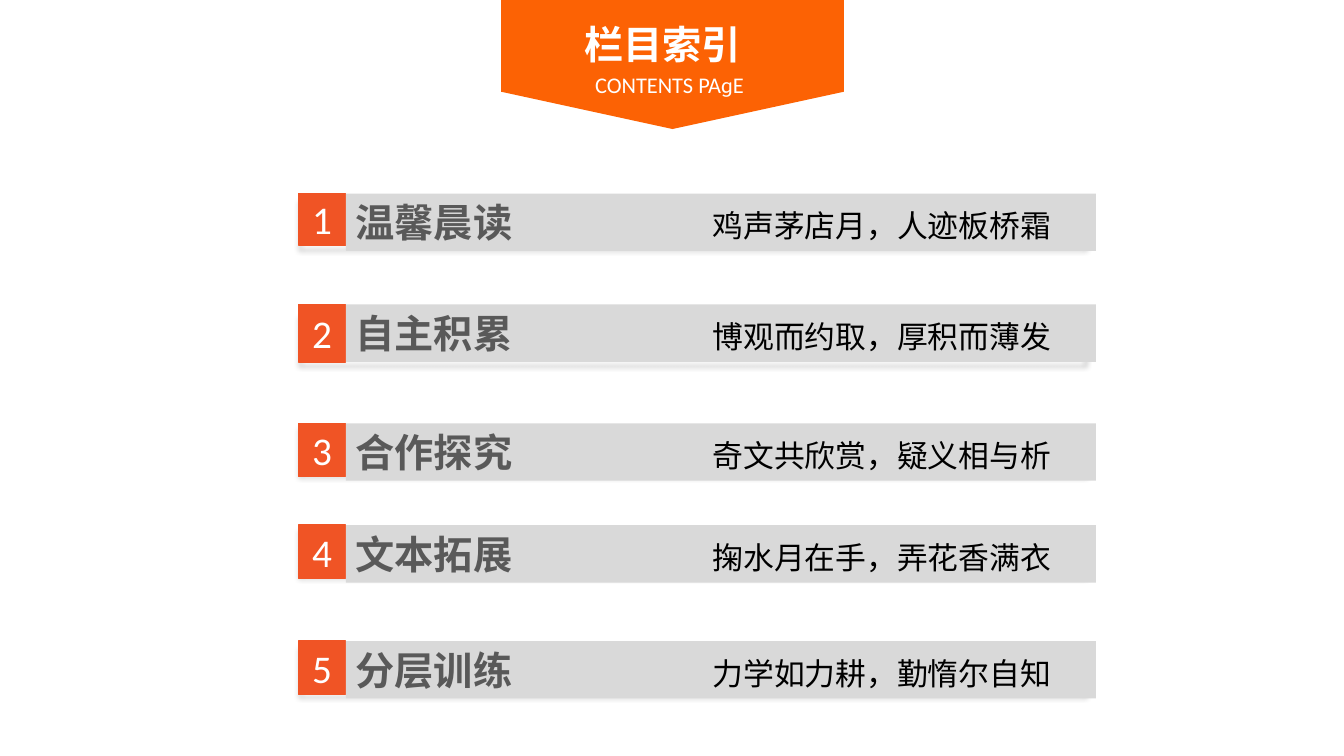
from lxml import etree
from pptx import Presentation
from pptx.dml.color import RGBColor
from pptx.enum import shapes, text
from pptx.oxml import parse_xml
from pptx.oxml.ns import nsdecls, qn
from pptx.util import Inches, Pt

CJK = "Noto Sans CJK SC"
ORANGE = "F05425"
CHAPTERS = [
    ("温馨晨读", "鸡声茅店月，人迹板桥霜", 1.92, 0.51, 0.05),
    ("自主积累", "博观而约取，厚积而薄发", 3.02, 0.57, 0.1),
    ("合作探究", "奇文共欣赏，疑义相与析", 4.2, 0.53, 0.02),
    ("文本拓展", "掬水月在手，弄花香满衣", 5.21, 0.53, 0.02),
    ("分层训练", "力学如力耕，勤惰尔自知", 6.36, 0.53, 0.05),
]


def color(code):
    """Turn a hex string into a colour."""
    return RGBColor.from_string(code)


def style(font, name, size, code, bold=False):
    """Set the typeface, size, colour and weight of a font."""
    font.name, font.size, font.bold = name, Pt(size), bold
    font.color.rgb = color(code)
    etree.SubElement(font._rPr, qn("a:ea"), typeface=name)


def add_rect(parent, left, top, width, height, fill=None, line=None):
    """Add a flat rectangle with optional fill and outline."""
    rect = parent.add_shape(shapes.MSO_SHAPE.RECTANGLE, Inches(left), Inches(top),
                            Inches(width), Inches(height))
    rect.shadow.inherit = False
    if fill:
        rect.fill.solid()
        rect.fill.fore_color.rgb = color(fill)
    else:
        rect.fill.background()
    if line:
        rect.line.color.rgb = color(line)
        rect.line.width = Pt(1)
    else:
        rect.line.fill.background()
    return rect


def add_shadow(rect):
    """Give a rectangle a soft shadow below it."""
    effects = rect._element.spPr.find(qn("a:effectLst"))
    effects.append(parse_xml(
        f'<a:outerShdw {nsdecls("a")} blurRad="{Pt(4)}" dist="{Pt(3)}" dir="5400000" '
        'rotWithShape="0"><a:srgbClr val="000000"><a:alpha val="40000"/></a:srgbClr>'
        '</a:outerShdw>'))


def add_chapter(slide, number, name, verse, top, badge_height, frame_drop):
    """Add one contents row: shadowed frame, number badge and bar."""
    row = slide.shapes.add_group_shape().shapes
    add_shadow(add_rect(row, 2.97, top + frame_drop, 7.79, 0.46, line=ORANGE))

    badge = add_rect(row, 2.96, top, 0.47, badge_height, ORANGE, ORANGE)
    badge.text_frame.vertical_anchor = text.MSO_ANCHOR.MIDDLE
    digit = badge.text_frame.paragraphs[0]
    digit.text = str(number)
    digit.alignment = text.PP_ALIGN.CENTER
    style(digit.font, "Calibri", 28, "FFFFFF")

    bar = add_rect(row, 3.43, top, 7.44, 0.57, "D9D9D9")
    bar.text_frame.vertical_anchor = text.MSO_ANCHOR.TOP
    entry = bar.text_frame.paragraphs[0]
    entry.alignment = text.PP_ALIGN.LEFT
    tabs = etree.SubElement(entry._p.get_or_add_pPr(), qn("a:tabLst"))
    etree.SubElement(tabs, qn("a:tab"), pos=str(Inches(3.54)), algn="l")
    heading = entry.add_run()
    heading.text = name + "\t"
    style(heading.font, CJK, 28, "595959", True)
    motto = entry.add_run()
    motto.text = verse
    style(motto.font, CJK, 22, "000000")


def add_banner(slide):
    """Add the pointed banner and place the slide title on it."""
    outline = slide.shapes.build_freeform(Inches(4.97), 0)
    corners = [(8.37, 0), (8.37, 0.91), (6.67, 1.28), (4.97, 0.91)]
    outline.add_line_segments([(Inches(x), Inches(y)) for x, y in corners])
    banner = outline.convert_to_shape()
    banner.shadow.inherit = False
    banner.fill.solid()
    banner.fill.fore_color.rgb = color("FC6204")
    banner.line.fill.background()

    title = slide.shapes.title
    banner._element.addnext(title._element)
    title.left, title.top = Inches(4.97), Inches(0.1)
    title.width, title.height = Inches(3.4), Inches(0.93)
    frame = title.text_frame
    frame.auto_size = text.MSO_AUTO_SIZE.NONE
    frame.vertical_anchor = text.MSO_ANCHOR.TOP
    frame.margin_right = Inches(0.3)
    frame.text = "栏目索引\nCONTENTS PAɡE"
    chinese, english = frame.paragraphs
    english._p.get_or_add_pPr().set("marL", str(Inches(0.14)))
    for line in (chinese, english):
        line.alignment = text.PP_ALIGN.CENTER
        line.line_spacing = 1.12
        line.space_before = Pt(0)
    style(chinese.font, CJK, 28, "FFFFFF", True)
    style(english.font, "Calibri", 16, "FFFFFF")


def main():
    """Build the contents slide."""
    deck = Presentation()
    deck.slide_width, deck.slide_height = Inches(13.33), Inches(7.5)
    slide = deck.slides.add_slide(deck.slide_layouts[5])
    add_banner(slide)
    for number, chapter in enumerate(CHAPTERS, 1):
        add_chapter(slide, number, *chapter)
    deck.save("out.pptx")


if __name__ == "__main__":
    main()
